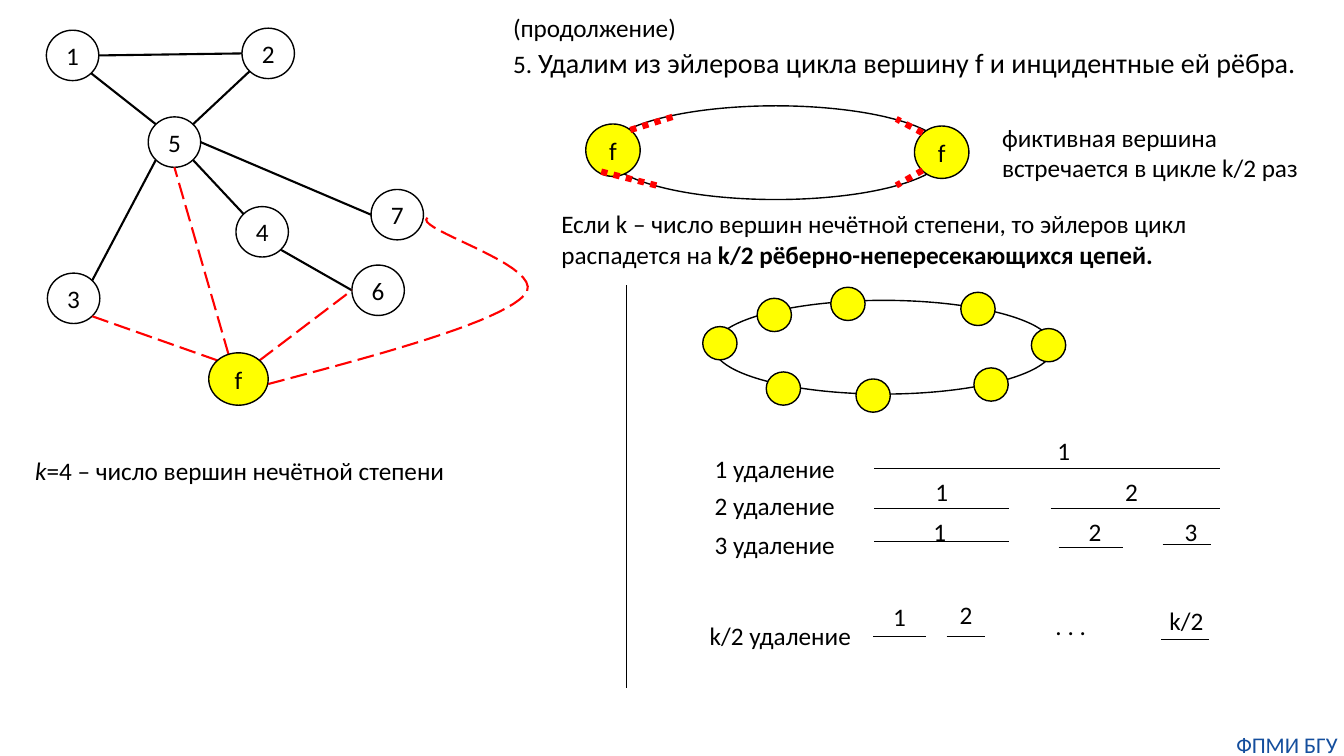
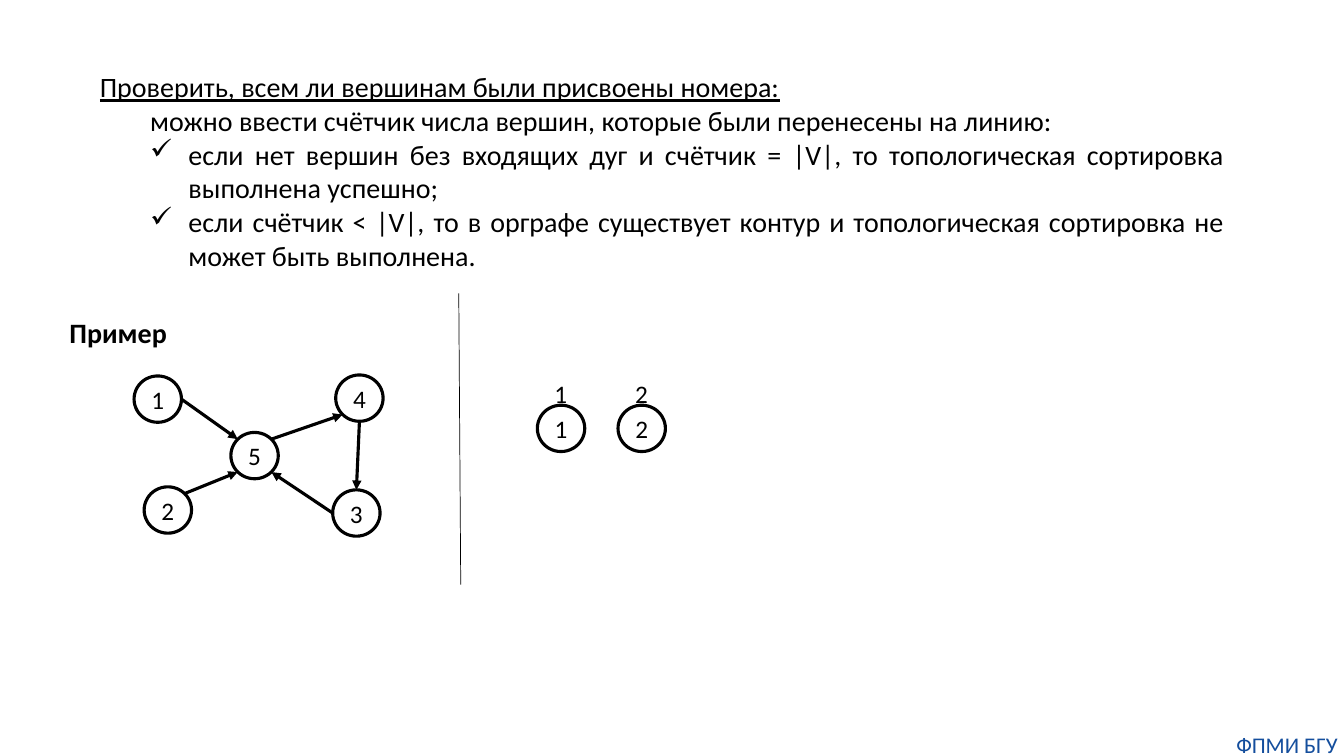
"""Build two lecture slides: removing the fictitious vertex and checking a topological sort."""
from lxml import etree
from pptx import Presentation
from pptx.dml.color import RGBColor
from pptx.enum.dml import MSO_LINE
from pptx.enum.shapes import MSO_CONNECTOR, MSO_SHAPE
from pptx.enum.text import MSO_ANCHOR, MSO_AUTO_SIZE, PP_ALIGN
from pptx.oxml.ns import qn
from pptx.util import Inches, Pt

STRAIGHT, OVAL = MSO_CONNECTOR.STRAIGHT, MSO_SHAPE.OVAL
LONG_DASH, DOTS = MSO_LINE.LONG_DASH, MSO_LINE.ROUND_DOT
TOP, MIDDLE = MSO_ANCHOR.TOP, MSO_ANCHOR.MIDDLE
LEFT, CENTER, JUSTIFY = PP_ALIGN.LEFT, PP_ALIGN.CENTER, PP_ALIGN.JUSTIFY
NO_AUTOFIT = MSO_AUTO_SIZE.NONE

BLACK = RGBColor(0x00, 0x00, 0x00)
RED = RGBColor(0xFF, 0x00, 0x00)
YELLOW = RGBColor(0xFF, 0xFF, 0x00)
FOOTER_BLUE = RGBColor(0x14, 0x4E, 0x9D)
FONT = "Calibri"
FOOTER, FOOTER_BOX = "ФПМИ БГУ", (12.2, 7.25, 1.13, 0.27)
TITLE_ONLY = 5
LINE_HEIGHT = 0.4

SITES = {
    "n": (0, -1), "e": (1, 0), "s": (0, 1), "w": (-1, 0), "nnw": (-0.33, -0.93),
    "ne": (0.71, -0.71), "se": (0.71, 0.71), "sw": (-0.71, 0.71), "nw": (-0.71, -0.71),
}

CYCLE_TITLE = [("5. ", {"size": 18}), ("Удалим из эйлерова цикла вершину f и инцидентные ей рёбра.", {})]
EULER_VERTICES = {
    "1": (0.46, 0.3), "2": (2.4, 0.28), "3": (0.47, 2.71), "4": (2.34, 2.05),
    "5": (1.47, 1.16), "6": (3.49, 2.63), "7": (3.68, 1.88),
}
EULER_SIZE = (0.52, 0.5)
FICTITIOUS_BOX = (2.07, 3.5, 0.59, 0.52)
EULER_EDGES = [
    ("1", "se", "5", "nw"), ("2", "sw", "5", "ne"), ("1", "e", "2", "w"), ("5", "sw", "3", "ne"),
    ("4", "se", "6", "w"), ("5", "e", "7", "w"), ("5", "se", "4", "nw"),
]
FICTITIOUS_EDGES = [("f", "nw", "3", "se"), ("f", "nnw", "5", "s"), ("f", "ne", "6", "w")]
EDGE_F_TO_7 = [
    ((2.66, 3.81), (3.8, 3.51), (4.94, 3.2), (5.2, 2.93)),
    ((5.2, 2.93), (5.47, 2.65), (4.08, 2.27), (4.24, 2.16)),
]
CYCLE_OVAL = (6.01, 1.05, 3.37, 0.93)
CYCLE_ENDS = [(5.81, 1.23), (9.07, 1.25)]
CYCLE_END_SIZE = (0.54, 0.52)
REMOVED_EDGES = [
    ((9.15, 1.69), (8.89, 1.84)), ((9.15, 1.32), (8.89, 1.18)),
    ((6.67, 1.16), (6.25, 1.29)), ((6.51, 1.84), (5.91, 1.69)),
]
COPIES_OVAL = (7.08, 2.98, 3.37, 0.93)
COPIES = [
    (6.97, 3.24), (10.23, 3.26), (9.66, 3.65), (8.49, 3.76),
    (8.24, 2.85), (9.53, 2.9), (7.6, 3.69), (7.51, 2.96),
]
COPY_SIZE = (0.34, 0.33)
NOTES = [
    ("(продолжение)", (4.99, 0.07, 1.84, 0.4), False),
    ("фиктивная вершина встречается в цикле k/2 раз", (9.84, 1.16, 3.37, 0.71), True),
    ([[("Если k – число вершин нечётной степени, то эйлеров цикл распадется на ", {}),
       ("k/2 рёберно-непересекающихся цепей.", {"bold": True})]], (5.47, 2.02, 6.71, 0.71), True),
    ([[("k", {"italic": True}), ("=4 – число вершин нечётной степени", {})]],
     (0.25, 4.47, 4.31, 0.4), False),
    (". . .", (10.37, 6.01, 0.51, 0.4), False),
]
REMOVALS = [
    ("1 удаление", (6.99, 4.45, 1.41), [(8.67, 12.1, 4.65, "1", 10.39, 4.27)]),
    ("2 удаление", (6.99, 4.82, 1.41),
     [(8.67, 10.01, 5.04, "1", 9.18, 4.68), (10.42, 12.1, 5.04, "2", 11.06, 4.68)]),
    ("3 удаление", (6.99, 5.2, 1.41),
     [(8.67, 10.01, 5.37, "1", 9.16, 5.07), (10.5, 11.14, 5.43, "2", 10.7, 5.07),
      (11.53, 12.01, 5.4, "3", 11.65, 5.07)]),
    ("k/2 удаление", (6.94, 6.11, 1.73),
     [(8.66, 9.18, 6.31, "1", 8.76, 5.92), (9.39, 9.77, 6.31, "2", 9.42, 5.9),
      (11.52, 11.99, 6.34, "k/2", 11.5, 5.96)]),
]

SORT_TITLE = [("Проверить, всем ли вершинам были присвоены номера:", {"underline": True})]
SORT_INTRO = "можно ввести счётчик числа вершин, которые были перенесены на линию:"
SORT_OUTCOMES = [
    "если нет вершин без входящих дуг и счётчик = |V|, то топологическая сортировка выполнена успешно;",
    "если счётчик < |V|, то в орграфе существует контур и топологическая сортировка не может быть выполнена.",
]
DIGRAPH_VERTICES = {
    "1": (1.33, 3.73), "2": (1.43, 4.83), "3": (3.3, 4.86), "4": (3.33, 3.72), "5": (2.29, 4.29),
}
DIGRAPH_SIZE = (0.47, 0.46)
DIGRAPH_ARCS = [
    ("1", "e", "5", "nw"), ("2", "ne", "5", "sw"), ("5", "ne", "4", "sw"),
    ("4", "s", "3", "n"), ("3", "w", "5", "se"),
]
SORTED_VERTICES = ["1", "2"]
SORTED_LEFT, SORTED_TOP, SORTED_STEP = 5.33, 4.02, 0.8


def write_text(frame, text, size=18, color=BLACK, align=LEFT, anchor=TOP, wrap=True, margin=None):
    """Fill a frame with a string or with paragraphs made of (text, format) runs."""
    frame.word_wrap, frame.auto_size, frame.vertical_anchor = wrap, NO_AUTOFIT, anchor
    if margin is not None:
        frame.margin_left = frame.margin_right = frame.margin_top = frame.margin_bottom = Inches(margin)
    paragraphs = [[(text, {})]] if isinstance(text, str) else text
    for index, runs in enumerate(paragraphs):
        paragraph = frame.add_paragraph() if index else frame.paragraphs[0]
        paragraph.alignment = align
        for words, style in runs:
            run = paragraph.add_run()
            run.text = words
            font = run.font
            font.name, font.size, font.color.rgb = FONT, Pt(style.get("size", size)), color
            font.bold, font.italic = style.get("bold", False), style.get("italic", False)
            font.underline = style.get("underline", False)


def add_label(slide, text, box, **style):
    """Add a text box and return its frame."""
    frame = slide.shapes.add_textbox(*map(Inches, box)).text_frame
    write_text(frame, text, **style)
    return frame


def add_oval(slide, box, text="", fill=None, width=1):
    """Add a vertex or a cycle outline."""
    oval = slide.shapes.add_shape(OVAL, *map(Inches, box))
    oval.shadow.inherit = False
    if fill is None:
        oval.fill.background()
    else:
        oval.fill.solid()
        oval.fill.fore_color.rgb = fill
    oval.line.color.rgb, oval.line.width = BLACK, Pt(width)
    if text:
        write_text(oval.text_frame, text, align=CENTER, anchor=MIDDLE, wrap=False, margin=0)


def style_line(line, color, width, dash):
    """Set the colour, width and dash of a line."""
    line.color.rgb, line.width = color, Pt(width)
    if dash is not None:
        line.dash_style = dash


def add_line(slide, start, end, color=BLACK, width=0.5, dash=None, arrow=False):
    """Draw a straight line, with an arrowhead at its end if asked."""
    connector = slide.shapes.add_connector(STRAIGHT, *map(Inches, (*start, *end)))
    style_line(connector.line, color, width, dash)
    if arrow:
        etree.SubElement(connector.line._get_or_add_ln(), qn("a:tailEnd"), type="triangle")
    etree.SubElement(connector._element.spPr, qn("a:effectLst"))


def site_point(box, site):
    """Find a point on the rim of an oval."""
    left, top, width, height = box
    across, down = SITES[site]
    return left + width / 2 * (1 + across), top + height / 2 * (1 + down)


def add_edges(slide, boxes, edges, **style):
    """Draw edges between the rims of vertices."""
    for source, source_site, target, target_site in edges:
        add_line(slide, site_point(boxes[source], source_site),
                 site_point(boxes[target], target_site), **style)


def add_vertices(slide, vertices, size, **style):
    """Draw numbered vertices and return their boxes."""
    boxes = {name: (*corner, *size) for name, corner in vertices.items()}
    for name, box in boxes.items():
        add_oval(slide, box, name, **style)
    return boxes


def add_curve(slide, beziers, steps=20, **style):
    """Draw cubic curves as one open outline."""
    points = [beziers[0][0]]
    for bezier in beziers:
        for step in range(1, steps + 1):
            t = step / steps
            weights = ((1 - t) ** 3, 3 * t * (1 - t) ** 2, 3 * t * t * (1 - t), t ** 3)
            points.append(tuple(sum(w * p[axis] for w, p in zip(weights, bezier)) for axis in (0, 1)))
    corners = [tuple(map(Inches, point)) for point in points]
    builder = slide.shapes.build_freeform(*corners[0])
    builder.add_line_segments(corners[1:], close=False)
    curve = builder.convert_to_shape()
    curve.shadow.inherit = False
    curve.fill.background()
    style_line(curve.line, **style)


def set_indent(paragraph, left, first=0, bullet=None):
    """Indent a paragraph and give it a bullet if asked."""
    properties = paragraph._p.get_or_add_pPr()
    properties.set("marL", str(Inches(left)))
    properties.set("indent", str(Inches(first)))
    if bullet:
        etree.SubElement(properties, qn("a:buChar"), char=bullet)


def start_slide(deck, title_runs, box):
    """Add a slide with its title and the shared footer."""
    slide = deck.slides.add_slide(deck.slide_layouts[TITLE_ONLY])
    title = slide.shapes.title
    title.left, title.top, title.width, title.height = map(Inches, box)
    write_text(title.text_frame, [title_runs], size=20)
    add_label(slide, FOOTER, FOOTER_BOX, size=16, color=FOOTER_BLUE, align=CENTER, margin=0)
    return slide


def build_cycle_slide(deck):
    """Show how the Euler cycle falls into chains."""
    slide = start_slide(deck, CYCLE_TITLE, (4.99, 0.4, 8.05, 0.44))
    boxes = add_vertices(slide, EULER_VERTICES, EULER_SIZE)
    boxes["f"] = FICTITIOUS_BOX
    add_edges(slide, boxes, EULER_EDGES, width=1.5)
    dashed = {"color": RED, "width": 1.5, "dash": LONG_DASH}
    add_edges(slide, boxes, FICTITIOUS_EDGES, **dashed)
    add_curve(slide, EDGE_F_TO_7, **dashed)
    add_oval(slide, FICTITIOUS_BOX, "f", fill=YELLOW)

    for outline, corners, size, name in ((CYCLE_OVAL, CYCLE_ENDS, CYCLE_END_SIZE, "f"),
                                         (COPIES_OVAL, COPIES, COPY_SIZE, "")):
        add_oval(slide, outline)
        for corner in corners:
            add_oval(slide, (*corner, *size), name, fill=YELLOW)
    for start, end in REMOVED_EDGES:
        add_line(slide, start, end, color=RED, width=4.5, dash=DOTS)

    for label, (left, top, width), chains in REMOVALS:
        add_label(slide, label, (left, top, width, LINE_HEIGHT), wrap=False)
        for start, end, level, number, number_left, number_top in chains:
            add_line(slide, (start, level), (end, level))
            number_width = 0.33 if len(number) == 1 else 0.63
            add_label(slide, number, (number_left, number_top, number_width, LINE_HEIGHT))
    for text, box, wrap in NOTES:
        add_label(slide, text, box, wrap=wrap)
    add_line(slide, (6.21, 2.83), (6.21, 6.83))


def build_sort_slide(deck):
    """Show the check that every vertex got a number."""
    slide = start_slide(deck, SORT_TITLE, (0.89, 0.64, 11.35, 0.44))
    paragraphs = [[(text, {})] for text in (SORT_INTRO, *SORT_OUTCOMES)]
    frame = add_label(slide, paragraphs, (0.89, 0.98, 11.35, 1.78), size=20, align=JUSTIFY)
    intro, *outcomes = frame.paragraphs
    set_indent(intro, 0.5)
    for outcome in outcomes:
        set_indent(outcome, 0.88, -0.38, "✓")

    add_label(slide, [[("Пример", {"bold": True})]], (0.59, 3.08, 1.3, 0.44), size=20, wrap=False)
    boxes = add_vertices(slide, DIGRAPH_VERTICES, DIGRAPH_SIZE, width=2.25)
    add_edges(slide, boxes, DIGRAPH_ARCS, width=2.25, arrow=True)
    add_line(slide, (4.55, 2.91), (4.57, 5.8))
    for index, name in enumerate(SORTED_VERTICES):
        left = SORTED_LEFT + index * SORTED_STEP
        add_oval(slide, (left, SORTED_TOP, *DIGRAPH_SIZE), name, width=2.25)
        add_label(slide, str(index + 1), (left + 0.07, SORTED_TOP - 0.32, 0.33, LINE_HEIGHT), wrap=False)


def main():
    """Build and save the presentation."""
    deck = Presentation()
    deck.slide_width, deck.slide_height = Inches(13.33), Inches(7.5)
    build_cycle_slide(deck)
    build_sort_slide(deck)
    deck.save("out.pptx")


if __name__ == "__main__":
    main()
